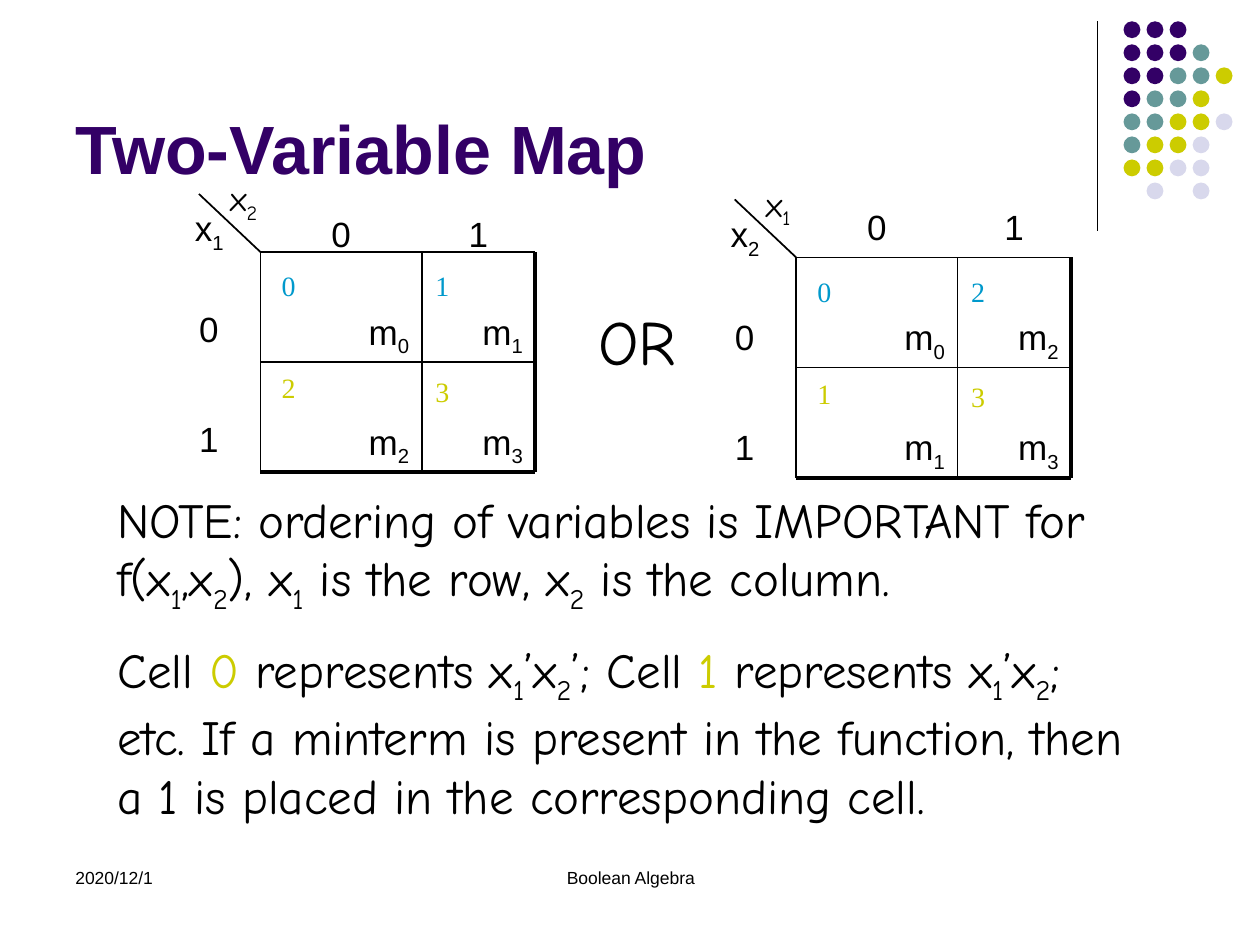
from lxml import etree
from pptx import Presentation
from pptx.dml.color import RGBColor
from pptx.enum.shapes import MSO_CONNECTOR, MSO_SHAPE
from pptx.enum.text import MSO_ANCHOR, MSO_AUTO_SIZE, PP_ALIGN
from pptx.oxml.ns import qn
from pptx.util import Cm, Pt

BLACK = RGBColor(0x00, 0x00, 0x00)
PURPLE = RGBColor(0x33, 0x00, 0x66)
TEAL = RGBColor(0x66, 0x99, 0x99)
OLIVE = RGBColor(0xCC, 0xCC, 0x00)
LAVENDER = RGBColor(0xD8, 0xD8, 0xEC)
BLUE = RGBColor(0x00, 0x99, 0xCC)

LEFT, CENTER, RIGHT = PP_ALIGN.LEFT, PP_ALIGN.CENTER, PP_ALIGN.RIGHT

deck = Presentation()
deck.slide_width = Cm(25.4)
deck.slide_height = Cm(19.05)
page = deck.slides.add_slide(deck.slide_layouts[5])


def add_text(left, top, width, height, paragraphs, font, size,
             color=BLACK, align=LEFT, inset=0.13, wrap=True, before=0):
    """Each paragraph is a list of runs; "_" marks a subscript, "*" an olive run."""
    box = page.shapes.add_textbox(Cm(left), Cm(top), Cm(width), Cm(height))
    frame = box.text_frame
    frame.word_wrap = wrap
    frame.margin_top = Cm(inset)
    for index, runs in enumerate(paragraphs):
        para = frame.add_paragraph() if index else frame.paragraphs[0]
        para.alignment = align
        para.space_before = Pt(before)
        for text in runs:
            span = para.add_run()
            span.text = text.lstrip("_*")
            span.font.name = font
            span.font.size = Pt(size)
            span.font.color.rgb = OLIVE if text.startswith("*") else color
            if text.startswith("_"):
                span._r.get_or_add_rPr().set("baseline", "-25000")


def add_line(x1, y1, x2, y2, width):
    line = page.shapes.add_connector(MSO_CONNECTOR.STRAIGHT,
                                     Cm(x1), Cm(y1), Cm(x2), Cm(y2))
    line.line.color.rgb = BLACK
    line.line.width = Pt(width)
    etree.SubElement(line._element.spPr, qn("a:effectLst"))


# Corner decoration: rule and dot grid
add_line(22.12, 0.43, 22.12, 4.65, 0.75)
dot_colors = {"P": PURPLE, "T": TEAL, "Y": OLIVE, "L": LAVENDER}
dot_rows = ["PPP", "PPPT", "PPTTY", "PTTY", "TTYYL", "TYYL", "YYLL", ".L.L"]
dot_pitch = 3.25 / 7
for row, pattern in enumerate(dot_rows):
    for column, key in enumerate(pattern):
        if key not in dot_colors:
            continue
        dot = page.shapes.add_shape(
            MSO_SHAPE.OVAL, Cm(22.65 + column * dot_pitch),
            Cm(0.43 + row * dot_pitch), Cm(0.34), Cm(0.34))
        dot.shadow.inherit = False
        dot.fill.solid()
        dot.fill.fore_color.rgb = dot_colors[key]
        dot.line.fill.background()

# Title
title = page.shapes.title
title.left, title.top = Cm(1.27), Cm(0.33)
title.width, title.height = Cm(20.96), Cm(3.6)
title.text_frame.auto_size = MSO_AUTO_SIZE.NONE
title.text_frame.vertical_anchor = MSO_ANCHOR.BOTTOM
para = title.text_frame.paragraphs[0]
para.alignment = LEFT
span = para.add_run()
span.text = "Two-Variable Map"
span.font.name = "Arial"
span.font.size = Pt(39)
span.font.bold = True
span.font.color.rgb = PURPLE

# Date and footer
add_text(1.27, 17.35, 5.92, 1.27, [["2020/12/1"]], "Arial", 10)
add_text(8.69, 17.35, 8.05, 1.27, [["Boolean Algebra"]], "Arial", 10, align=CENTER)

# Maps: left, top, row variable, column variable, cell numbers by row,
# offset of the column headings, offset of the row headings
maps = [
    (5.25, 5.08, "1", "2", ["01", "23"], -1.96, -0.05),
    (16.05, 5.19, "2", "1", ["02", "13"], -2.22, 0),
]
column_lefts = [0, 3.25]
column_widths = [3.25, 2.29]
row_height = 2.22
map_width = sum(column_widths)
map_height = 2 * row_height
heading_width = 2.08
number_tops = [[0.21, 0.21], [2.27, 2.34]]
low = 1.17  # top inset that puts the text in the lower part of its cell

for left, top, row_var, column_var, numbers, heading_y, label_y in maps:
    # Headings and cells
    for i in range(2):
        add_text(left + column_lefts[i], top + heading_y, column_widths[i],
                 row_height, [[str(i)]], "Arial", 20, align=CENTER, inset=low)
        add_text(left - heading_width, top + label_y + i * row_height,
                 heading_width, row_height, [[str(i)]], "Arial", 20,
                 align=CENTER, inset=low)
        for j, number in enumerate(numbers[i]):
            add_text(left + column_lefts[j], top + i * row_height,
                     column_widths[j], row_height, [["m", "_" + number]],
                     "Arial", 20, align=RIGHT, inset=low)
            add_text(left + column_lefts[j] + (0.03 if j else 0.18),
                     top + number_tops[i][j], 0.79, 0.94, [[number]],
                     "Times New Roman", 16, color=OLIVE if i else BLUE, wrap=False)

    # Corner with the variable names
    add_text(left - 1.57, top - 2.08, heading_width, row_height,
             [["x", "_" + row_var]], "Arial", 20, inset=low)
    add_text(left - 0.86, top - 1.65, 1.17, 1.09,
             [["x", "_" + column_var]], "Comic Neue", 20, wrap=False)
    add_line(left - 1.24, top - 1.17, left, top, 1)

    # Grid, heavier on the right and bottom
    for x, weight in [(0, 1), (column_lefts[1], 1), (map_width, 2.25)]:
        add_line(left + x, top, left + x, top + map_height, weight)
    for y, weight in [(0, 1), (row_height, 1), (map_height, 2.25)]:
        add_line(left, top + y, left + map_width, top + y, weight)

add_text(11.81, 5.97, 2.31, 1.78, [["OR"]], "Comic Neue", 36, wrap=False)

# Note
note = [
    ["NOTE: ordering of variables is IMPORTANT for f(x", "_1", ",x", "_2",
     "), x", "_1", " is the row, x", "_2", " is the column."],
    ["Cell ", "*0", " represents x", "_1", "’x", "_2", "’; Cell ", "*1",
     " represents x", "_1", "’x", "_2",
     "; etc. If a minterm is present in the function, then a 1 is placed "
     "in the corresponding cell."],
]
add_text(2.11, 9.73, 21.16, 7.98, note, "Comic Neue", 28, before=14)

deck.save("out.pptx")
